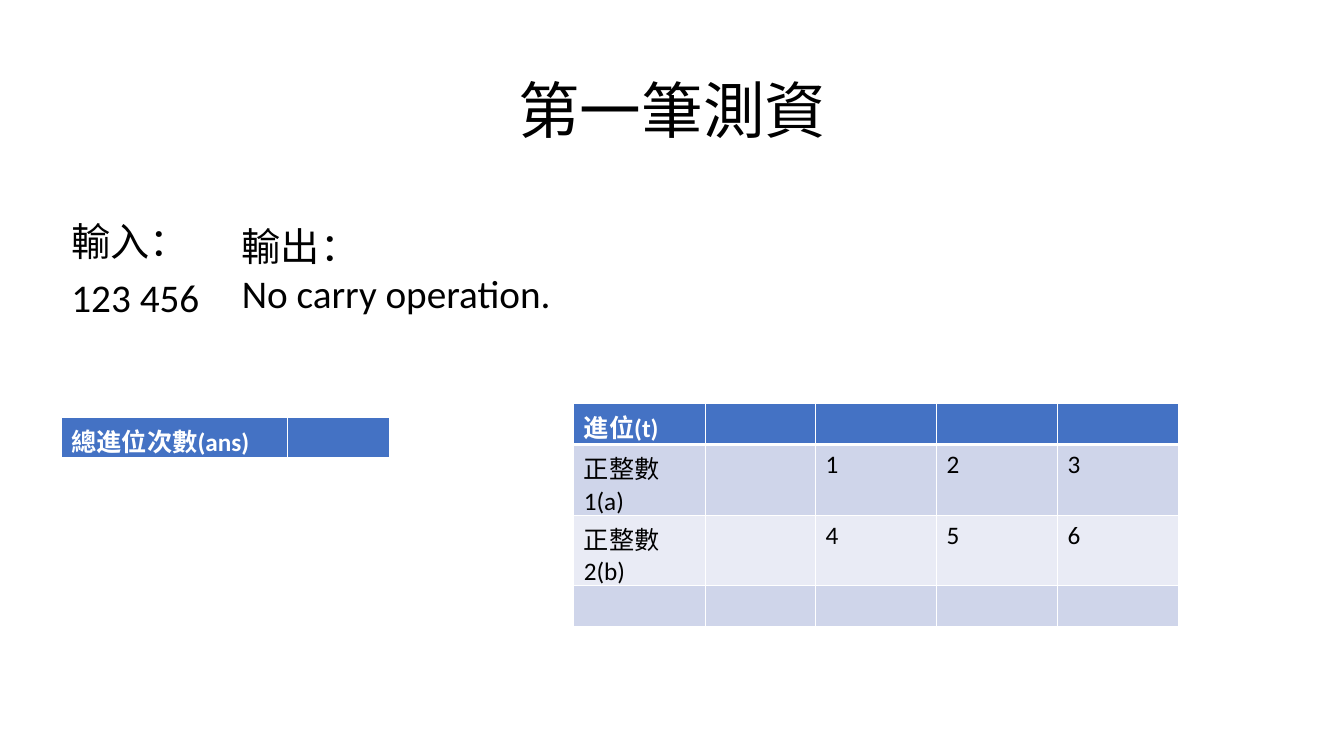
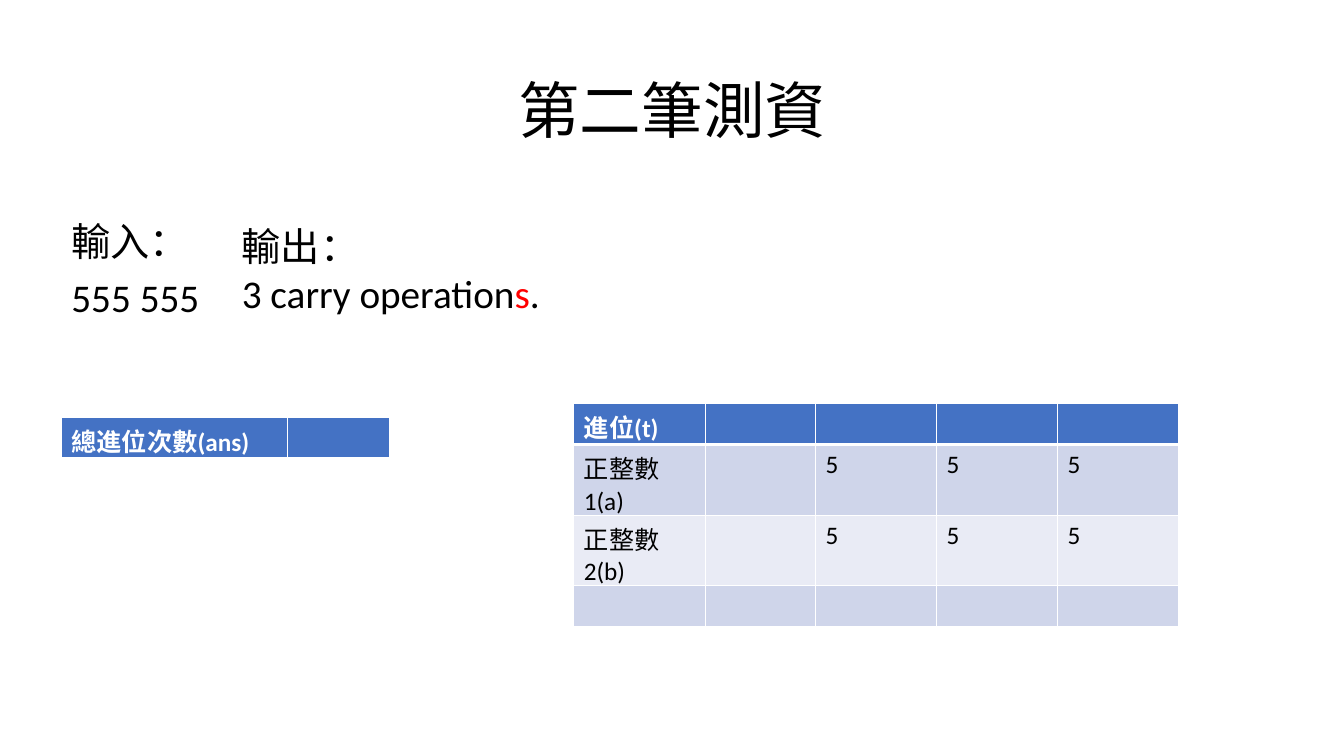
from lxml.etree import SubElement
from pptx import Presentation
from pptx.dml.color import RGBColor
from pptx.enum.text import MSO_ANCHOR, PP_ALIGN
from pptx.oxml.ns import qn
from pptx.util import Inches, Pt

BLACK = RGBColor(0x00, 0x00, 0x00)
WHITE = RGBColor(0xFF, 0xFF, 0xFF)
RED = RGBColor(0xFF, 0x00, 0x00)
HEADER_BLUE = RGBColor(0x44, 0x72, 0xC4)
BAND_FILLS = [RGBColor(0xE9, 0xEB, 0xF5), RGBColor(0xCF, 0xD5, 0xEA)]

HEADING_FONT = "Arial"
BODY_FONT = "Calibri"

# Content: each output is a list of (text, colour) spans
CASES = [
    {
        "title": "第一筆測資",
        "input": "123 456",
        "output": [("No carry operation.", BLACK)],
        "digits": ["123", "456"],
    },
    {
        "title": "第二筆測資",
        "input": "555 555",
        "output": [("3 carry operation", BLACK), ("s", RED), (".", BLACK)],
        "digits": ["555", "555"],
    },
]
NUMBER_LABELS = ["正整數1(a)", "正整數2(b)"]
CARRY_HEADER = ["進位(t)", "", "", "", ""]
TOTAL_HEADER = ["總進位次數(ans)", ""]

CARRY_COLUMNS = [1.31, 1.09, 1.2, 1.2, 1.2]
TOTAL_COLUMNS = [2.24, 1.01]
ROW_HEIGHT = 0.41


def write_spans(para, spans, size, font=BODY_FONT, bold=False):
    for text, color in spans:
        span = para.add_run()
        span.text = text
        span.font.size = Pt(size)
        span.font.name = font
        span.font.bold = bold
        span.font.color.rgb = color


def add_text(page, place, lines, size, align=PP_ALIGN.LEFT,
             anchor=MSO_ANCHOR.TOP, spacing=1.0, before=0):
    """Add a text box; each line is a (spans, font) pair."""
    box = page.shapes.add_textbox(*map(Inches, place))
    frame = box.text_frame
    frame.word_wrap = True
    frame.vertical_anchor = anchor
    for index, (spans, font) in enumerate(lines):
        para = frame.add_paragraph() if index else frame.paragraphs[0]
        para.alignment = align
        para.line_spacing = spacing
        para.space_before = Pt(before)
        write_spans(para, spans, size, font)


def set_cell(cell, text, header, fill):
    props = cell._tc.get_or_add_tcPr()
    # Borders come before the fill in the cell properties
    for side in ("lnL", "lnR", "lnT", "lnB"):
        width = Pt(3 if header and side == "lnB" else 1)
        line = SubElement(props, qn(f"a:{side}"), w=str(width))
        solid = SubElement(line, qn("a:solidFill"))
        SubElement(solid, qn("a:srgbClr"), val=str(WHITE))
    cell.fill.solid()
    cell.fill.fore_color.rgb = fill
    if text:
        color = WHITE if header else BLACK
        write_spans(cell.text_frame.paragraphs[0], [(text, color)], 18, bold=header)


def add_grid(page, left, top, columns, rows):
    """Add a table with a blue header row and banded rows below it."""
    frame = page.shapes.add_table(
        len(rows), len(columns), Inches(left), Inches(top),
        Inches(sum(columns)), Inches(ROW_HEIGHT * len(rows)))
    table = frame.table
    for column, width in zip(table.columns, columns):
        column.width = Inches(width)
    for r, row in enumerate(rows):
        table.rows[r].height = Inches(ROW_HEIGHT)
        fill = BAND_FILLS[r % 2] if r else HEADER_BLUE
        for c, text in enumerate(row):
            set_cell(table.cell(r, c), text, r == 0, fill)


def add_case(deck, case):
    page = deck.slides.add_slide(deck.slide_layouts[6])
    # Title
    add_text(page, (0.92, 0.4, 11.5, 1.45), [([(case["title"], BLACK)], BODY_FONT)],
             size=44, align=PP_ALIGN.CENTER, anchor=MSO_ANCHOR.MIDDLE, spacing=0.9)
    # Carry table: header, the two numbers, and an empty result row
    numbers = [[label, "", *digits]
               for label, digits in zip(NUMBER_LABELS, case["digits"])]
    add_grid(page, 5.69, 4, CARRY_COLUMNS,
             [CARRY_HEADER, *numbers, [""] * len(CARRY_COLUMNS)])
    # Input and output
    add_text(page, (0.61, 2.16, 1.69, 4.76),
             [([("輸入：", BLACK)], HEADING_FONT),
              ([(case["input"], BLACK)], BODY_FONT)],
             size=28, spacing=0.9, before=10)
    add_text(page, (2.3, 2.16, 3.78, 1.51),
             [([("輸出：", BLACK)], HEADING_FONT), (case["output"], BODY_FONT)],
             size=28)
    # Total number of carries
    add_grid(page, 0.61, 4.14, TOTAL_COLUMNS, [TOTAL_HEADER])


def main():
    deck = Presentation()
    deck.slide_width = Inches(13.33)
    deck.slide_height = Inches(7.5)
    for case in CASES:
        add_case(deck, case)
    deck.save("out.pptx")


if __name__ == "__main__":
    main()
